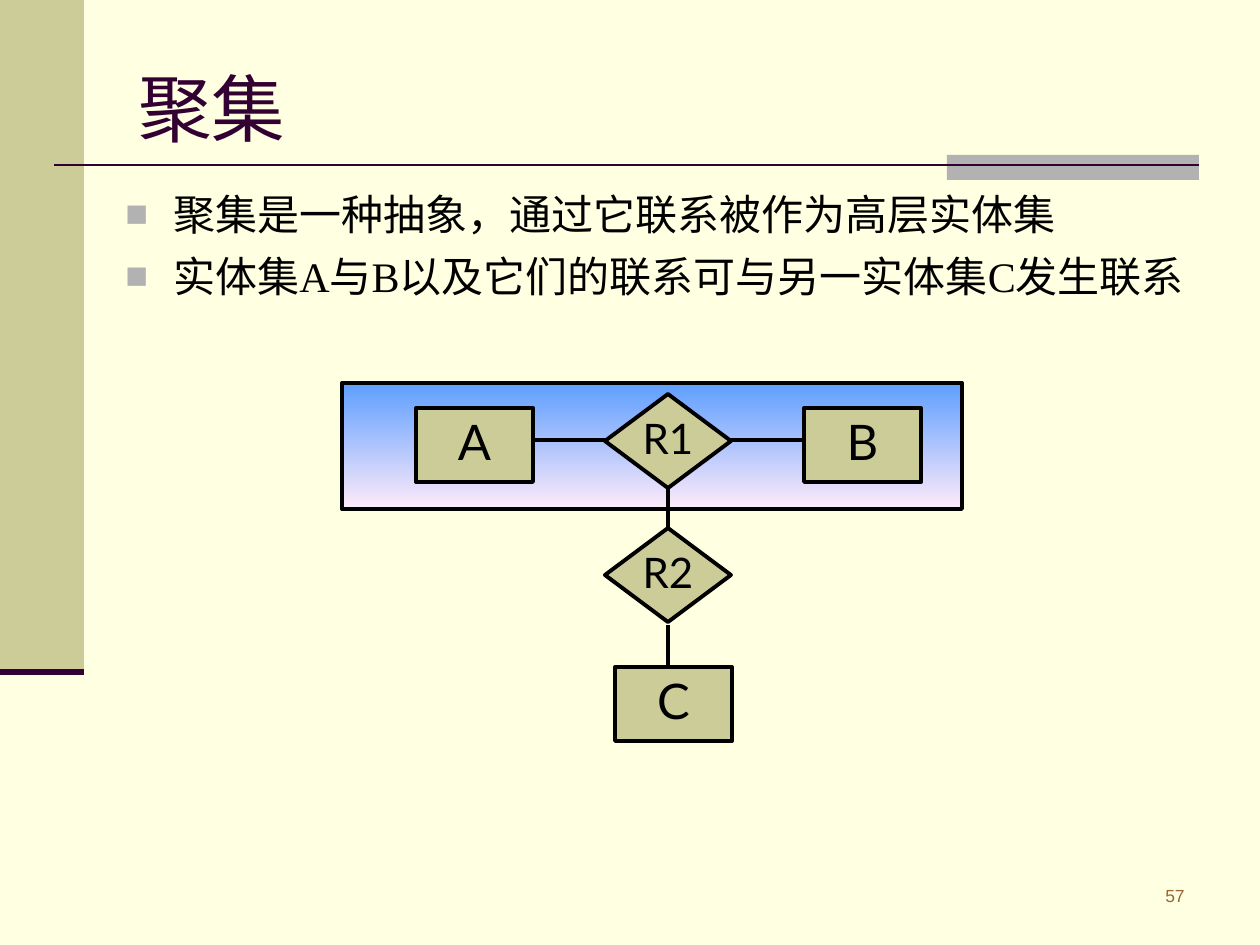
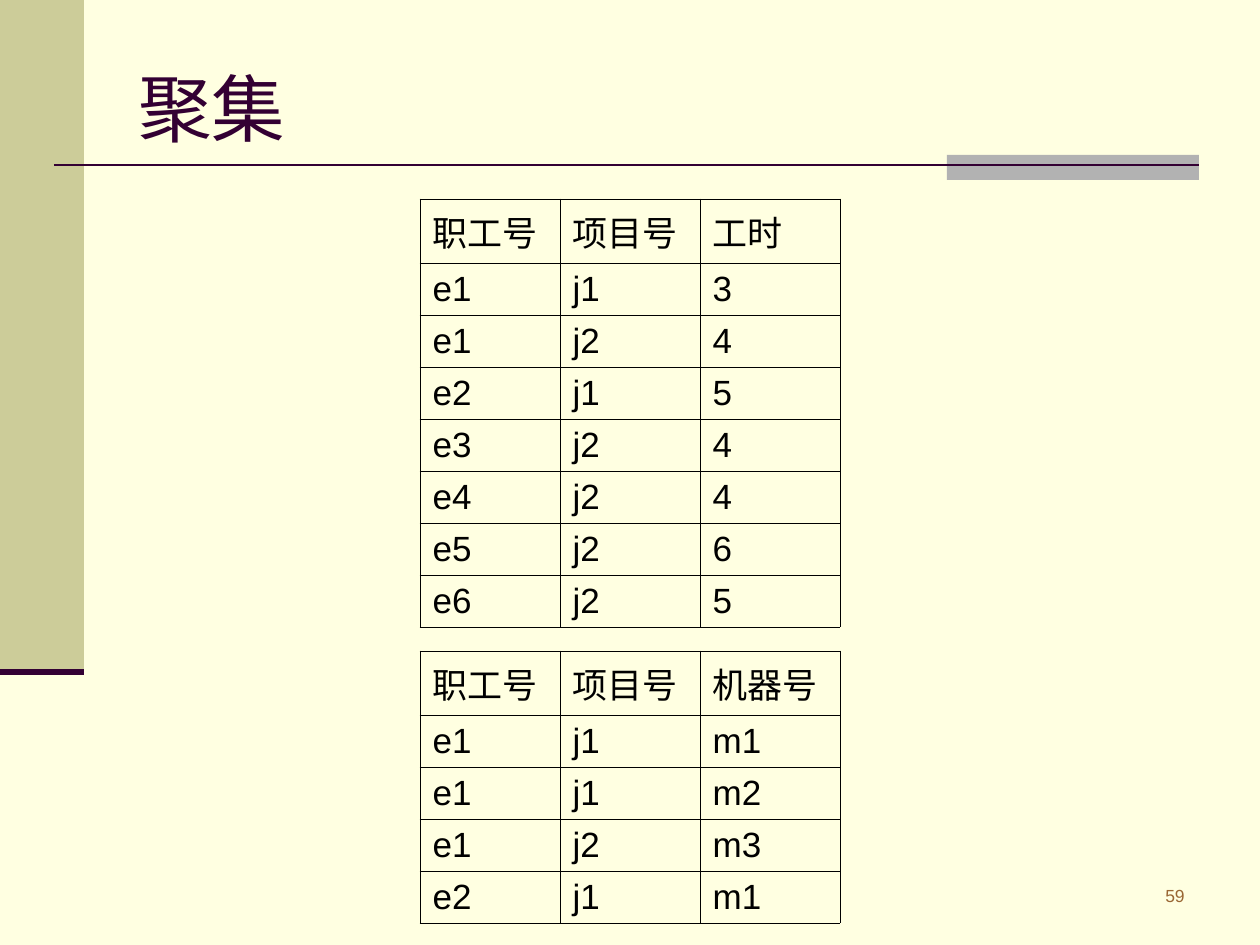
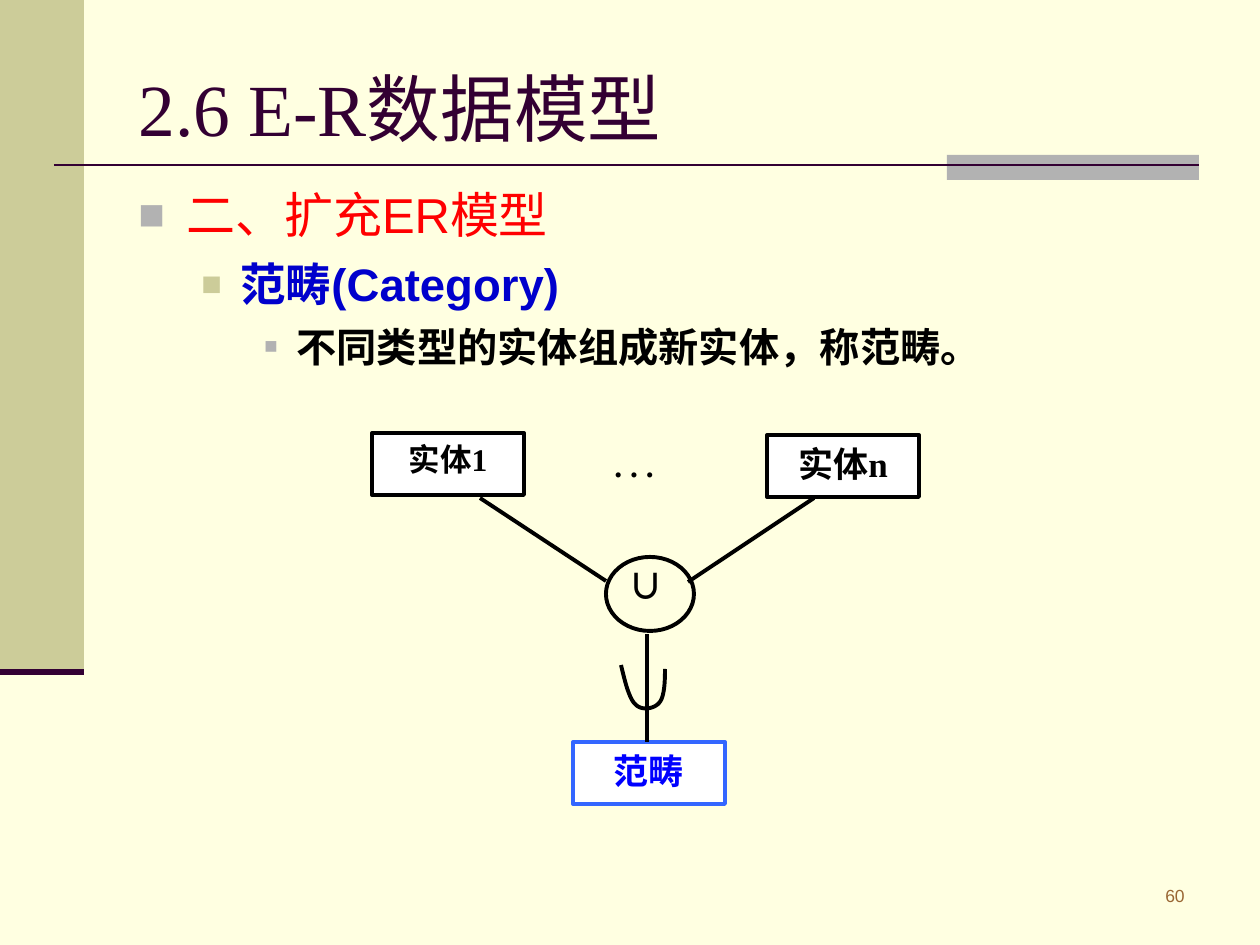
import pptx
import pptx.dml.color
import pptx.enum.shapes
import pptx.enum.text
import pptx.oxml.ns
import pptx.util
from lxml import etree

SHAPE = pptx.enum.shapes.MSO_SHAPE
ALIGN = pptx.enum.text.PP_ALIGN
ANCHOR = pptx.enum.text.MSO_ANCHOR
qn = pptx.oxml.ns.qn

# Shared look
CREAM, KHAKI, GREY, PLUM = "FFFFE1", "CCCC99", "B2B2B2", "330033"
BLACK, WHITE = "000000", "FFFFFF"
SERIF, SANS, LABEL, CJK = "Times New Roman", "Arial", "Lato", "Noto Sans CJK SC"
CJK_LEADING = 1.23
STROKE = 2.25

# Bullet levels: left margin px, hanging px, colour, size in percent
LEVELS = [(48, 48, GREY, 90), (102, 39, KHAKI, 75), (158, 32, GREY, 55)]


def px(n):
    return pptx.util.Emu(round(n * 914400 / 126))


def rgb(color):
    return pptx.dml.color.RGBColor.from_string(color)


def child(parent, tag, **attrs):
    e = etree.SubElement(parent, qn(tag))
    for name, value in attrs.items():
        e.set(name, str(value))
    return e


# Text
def bullet(p, level):
    left, hang, color, size = LEVELS[level]
    pPr = p._p.get_or_add_pPr()
    pPr.set("marL", str(px(left)))
    pPr.set("indent", str(-px(hang)))
    p.level = level
    child(child(pPr, "a:buClr"), "a:srgbClr", val=color)
    child(pPr, "a:buSzPct", val=size * 1000)
    child(pPr, "a:buFont", typeface=SANS)
    child(pPr, "a:buChar", char="■")


def text(tf, content, size=20, font=SERIF, color=BLACK, bold=False,
         align=ALIGN.LEFT, leading=None, before=0, level=None):
    p = tf.paragraphs[0]
    if p.runs:
        p = tf.add_paragraph()
    if level is not None:
        bullet(p, level)
    p.alignment = align
    p.space_before = pptx.util.Pt(before)
    if leading:
        p.line_spacing = leading
    r = p.add_run()
    r.text = content
    r.font.size = pptx.util.Pt(size)
    r.font.name = font
    r.font.bold = bold
    r.font.color.rgb = rgb(color)
    child(r._r.get_or_add_rPr(), "a:ea", typeface=CJK)


def cjk_leading(size, ratio=CJK_LEADING):
    return pptx.util.Pt(round(size * ratio, 1))


def textbox(s, x, y, w, h, anchor=ANCHOR.TOP):
    tf = s.shapes.add_textbox(px(x), px(y), px(w), px(h)).text_frame
    tf.word_wrap = True
    tf.vertical_anchor = anchor
    return tf


def body(s, x, y, w, h):
    tf = textbox(s, x, y, w, h)
    tf.margin_top = px(8)
    return tf


# Shapes and lines
def shape(s, kind, x, y, w, h, fill=None, line=None):
    sp = s.shapes.add_shape(kind, px(x), px(y), px(w), px(h))
    finish(sp, fill, line)
    return sp


def finish(sp, fill, line):
    sp.shadow.inherit = False
    if fill:
        sp.fill.solid()
        sp.fill.fore_color.rgb = rgb(fill)
    else:
        sp.fill.background()
    if line:
        sp.line.color.rgb = rgb(line)
        sp.line.width = pptx.util.Pt(STROKE)
    else:
        sp.line.fill.background()


def line(s, x1, y1, x2, y2, color=BLACK, width=STROKE):
    c = s.shapes.add_connector(pptx.enum.shapes.MSO_CONNECTOR.STRAIGHT,
                               px(x1), px(y1), px(x2), px(y2))
    c.line.color.rgb = rgb(color)
    c.line.width = pptx.util.Pt(width)
    child(c._element.spPr, "a:effectLst")


def er_node(s, kind, x, y, w, h, label, size):
    tf = shape(s, kind, x, y, w, h, KHAKI, BLACK).text_frame
    tf.word_wrap = False
    tf.vertical_anchor = ANCHOR.MIDDLE
    text(tf, label, size=size, font=LABEL, align=ALIGN.CENTER, leading=0.9)


def entity(s, x, y):
    return er_node(s, SHAPE.RECTANGLE, x, y, 117, 74, *ENTITY_LABELS[x, y])


ENTITY_LABELS = {(416, 408): ("A", 28), (804, 408): ("B", 28), (615, 667): ("C", 28)}


def white_box(s, x, y, label, size=20, color=BLACK, border=BLACK):
    tf = shape(s, SHAPE.RECTANGLE, x, y, 152, 62, WHITE, border).text_frame
    tf.vertical_anchor = ANCHOR.TOP
    text(tf, label, size=size, color=color, bold=True, align=ALIGN.CENTER,
         leading=cjk_leading(size))


def curve(s, start, segments, steps=12):
    """Open curve through cubic segments, each (control, control, end)."""
    points = []
    p0 = start
    for p1, p2, p3 in segments:
        for i in range(1, steps + 1):
            t = i / steps
            u = 1 - t
            points.append(tuple(
                px(u**3 * a + 3 * u * u * t * b + 3 * u * t * t * c + t**3 * d)
                for a, b, c, d in zip(p0, p1, p2, p3)))
        p0 = p3
    fb = s.shapes.build_freeform(px(start[0]), px(start[1]))
    fb.add_line_segments(points, close=False)
    finish(fb.convert_to_shape(), None, BLACK)


# Table
def border(cell):
    tcPr = cell._tc.get_or_add_tcPr()
    for side in ("a:lnL", "a:lnR", "a:lnT", "a:lnB"):
        ln = child(tcPr, side, w=pptx.util.Pt(0.45))
        child(child(ln, "a:solidFill"), "a:srgbClr", val=BLACK)


def table(s, y, h, rows, header_h=64):
    x, col_w = 420, 140
    cols = len(rows[0])
    t = s.shapes.add_table(len(rows), cols, px(x), px(y), px(cols * col_w), px(h)).table
    t.first_row = t.horz_banding = False
    for i, row in enumerate(rows):
        t.rows[i].height = px((h - header_h) / (len(rows) - 1) if i else header_h)
        for j, value in enumerate(row.split() if isinstance(row, str) else row):
            cell = t.cell(i, j)
            cell.margin_top = cell.margin_bottom = px(5)
            cell.vertical_anchor = ANCHOR.MIDDLE
            border(cell)
            cell.fill.background()
            text(cell.text_frame, value, font=SANS)


# Slide frame: side band, title rule, title and number
def new_slide(prs, title, number):
    s = prs.slides.add_slide(prs.slide_layouts[6])
    shape(s, SHAPE.RECTANGLE, 0, 0, 84, 672, KHAKI)
    shape(s, SHAPE.RECTANGLE, 947, 155, 252, 25, GREY)
    line(s, 54, 165, 1199, 165, PLUM, 1.5)
    line(s, 0, 672, 84, 672, PLUM, 3.5)
    text(textbox(s, 1037, 879, 160, 44), str(number), size=10, font=SANS,
         color="996633", align=ALIGN.RIGHT)
    text(textbox(s, 126, 38, 1071, 127, ANCHOR.MIDDLE), title, size=42,
         color=PLUM, leading=cjk_leading(42, 1.35))
    return s


def aggregation_slide(prs):
    s = new_slide(prs, "聚集", 57)
    tf = body(s, 113, 179, 1115, 420)
    for i, item in enumerate(["聚集是一种抽象，通过它联系被作为高层实体集",
                              "实体集A与B以及它们的联系可与另一实体集C发生联系"]):
        text(tf, item, size=24, leading=cjk_leading(24), before=6 if i else 0, level=0)

    # Aggregate of A, R1 and B
    sp = shape(s, SHAPE.RECTANGLE, 342, 383, 620, 126, WHITE, BLACK)
    sp.fill.gradient()
    sp.fill.gradient_angle = 270
    for stop, position, color in zip(sp.fill.gradient_stops, (0, 1), ("5E9EFF", "FFEBFA")):
        stop.position = position
        stop.color.rgb = rgb(color)

    for x, y in ENTITY_LABELS:
        entity(s, x, y)
    for y, label in ((394, "R1"), (528, "R2")):
        er_node(s, SHAPE.DIAMOND, 605, y, 126, 94, label, 24)
    for ends in ((532, 440, 605, 440), (731, 440, 804, 440),
                 (668, 489, 668, 530), (668, 625, 668, 667)):
        line(s, *ends)


def tables_slide(prs):
    s = new_slide(prs, "聚集", 59)
    table(s, 199, 426, [("职工号", "项目号", "工时"),
                        ("e1", "j1", "3"), ("e1", "j2", "4"), ("e2", "j1", "5"),
                        ("e3", "j2", "4"), ("e4", "j2", "4"), ("e5", "j2", "6"),
                        ("e6", "j2", "5")])
    table(s, 651, 270, [("职工号", "项目号", "机器号"),
                        ("e1", "j1", "m1"), ("e1", "j1", "m2"),
                        ("e1", "j2", "m3"), ("e2", "j1", "m1")])


def category_slide(prs):
    s = new_slide(prs, "2.6 E-R数据模型", 60)
    tf = body(s, 126, 175, 1071, 694)
    for level, (item, size, color, bold, before) in enumerate([
            ("二、扩充ER模型", 28, "FF0000", False, 0),
            ("范畴(Category)", 26, "0000CC", True, 6.5),
            ("不同类型的实体组成新实体，称范畴。", 23, BLACK, True, 5.8)]):
        text(tf, item, size=size, font=SANS, color=color, bold=bold,
             leading=cjk_leading(size), before=before, level=level)

    # Entities joined into a category
    white_box(s, 573, 742, "范畴", color="0000FF", border="3366FF")
    white_box(s, 372, 433, "实体1", size=18)
    white_box(s, 767, 435, "实体n")
    shape(s, SHAPE.OVAL, 606, 557, 88, 74, line=BLACK)
    curve(s, (665, 669), [((665, 684), (664, 698), (659, 703)),
                          ((654, 709), (641, 711), (635, 704)),
                          ((629, 698), (625, 682), (621, 665))])
    for ends in ((647, 742, 647, 634), (606, 581, 480, 498), (688, 582, 814, 498)):
        line(s, *ends)
    text(textbox(s, 602, 440, 81, 53), ". . .", size=18, bold=True)
    text(textbox(s, 616, 551, 81, 62, ANCHOR.BOTTOM), "∪", font=CJK, bold=True)


def main():
    prs = pptx.Presentation()
    prs.slide_width, prs.slide_height = px(1260), px(945)
    fill = prs.slide_master.background.fill
    fill.solid()
    fill.fore_color.rgb = rgb(CREAM)
    aggregation_slide(prs)
    tables_slide(prs)
    category_slide(prs)
    prs.save("out.pptx")


if __name__ == "__main__":
    main()
